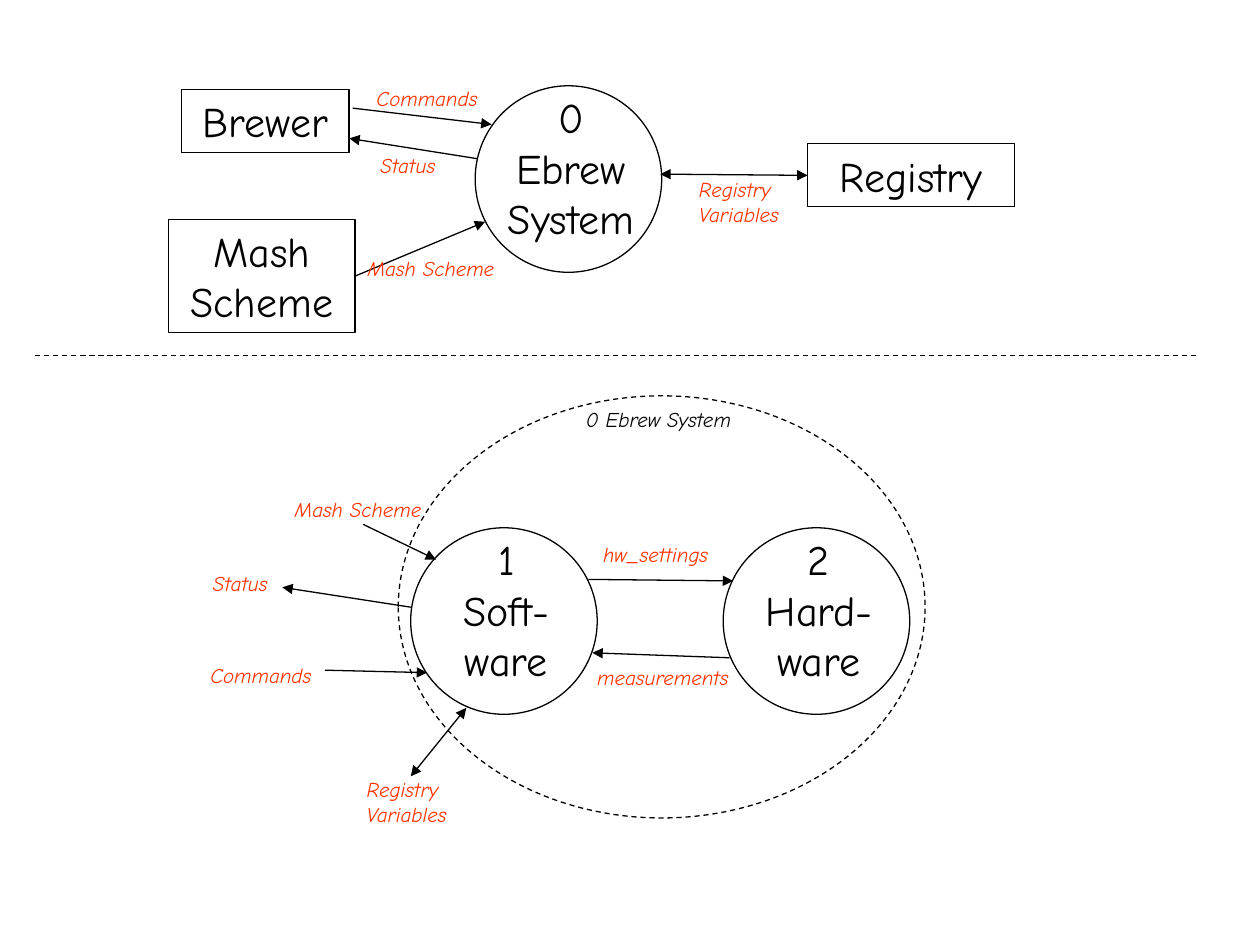
from lxml import etree
from pptx import Presentation
from pptx import util as u
from pptx.dml.color import RGBColor
from pptx.enum import dml, shapes, text
from pptx.oxml.ns import qn

BLACK = RGBColor(0x00, 0x00, 0x00)
FLOW = RGBColor(0xFF, 0x33, 0x00)
FONT = "Comic Neue"

prs = Presentation()
prs.slide_width, prs.slide_height = u.Cm(25.4), u.Cm(19.05)
s = prs.slides.add_slide(prs.slide_layouts[6])


def write(sp, lines, size, color=BLACK, italic=False, align=text.PP_ALIGN.CENTER, wrap=True):
    tf = sp.text_frame
    tf.word_wrap = wrap
    tf.vertical_anchor = text.MSO_ANCHOR.TOP
    tf.text = lines
    for p in tf.paragraphs:
        p.alignment = align
        p.font.name, p.font.size, p.font.italic = FONT, u.Pt(size), italic
        p.font.color.rgb = color


def outline(kind, x, y, w, h):
    sp = s.shapes.add_shape(kind, u.Cm(x), u.Cm(y), u.Cm(w), u.Cm(h))
    sp.shadow.inherit = False
    sp.fill.background()
    sp.line.color.rgb = BLACK
    sp.line.width = u.Pt(0.75)
    return sp


# Processes: circles with their number and name
D = 3.76
for name, x, y in [
    ("0\nEbrew System", 9.58, 1.73),
    ("1\nSoft-ware", 8.28, 10.64),
    ("2\nHard-ware", 14.58, 10.64),
]:
    outline(shapes.MSO_SHAPE.OVAL, x, y, D, D)
    tb = s.shapes.add_textbox(u.Cm(x + 0.05), u.Cm(y), u.Cm(D), u.Cm(3.3))
    write(tb, name, 24)

# External entities
entities = {}
for name, x, y, w, h in [
    ("Brewer", 3.66, 1.8, 3.38, 1.27),
    ("Mash Scheme", 3.4, 4.42, 3.76, 2.29),
    ("Registry", 16.28, 2.9, 4.17, 1.27),
]:
    sp = outline(shapes.MSO_SHAPE.RECTANGLE, x, y, w, h)
    write(sp, name, 24)
    entities[name] = sp

# Boundary of the system in the lower diagram
boundary = outline(shapes.MSO_SHAPE.OVAL, 8.03, 7.98, 10.62, 8.51)
boundary.line.dash_style = dml.MSO_LINE.DASH

# Data flows and the divider: start, end, arrowheads, joined entities
lines = []
for x1, y1, x2, y2, ends, source, target in [
    (7.11, 2.18, 9.91, 2.51, ["tailEnd"], None, None),
    (9.63, 3.2, 7.04, 2.79, ["tailEnd"], None, None),
    (7.11, 5.59, 9.78, 4.47, ["tailEnd"], "Mash Scheme", None),
    (13.31, 3.51, 16.26, 3.51, ["headEnd", "tailEnd"], None, "Registry"),
    (11.86, 11.68, 14.78, 11.71, ["tailEnd"], None, None),
    (14.71, 13.26, 11.94, 13.16, ["tailEnd"], None, None),
    (8.28, 15.65, 9.4, 14.27, ["headEnd", "tailEnd"], None, None),
    (7.32, 10.57, 8.79, 11.28, ["tailEnd"], None, None),
    (8.28, 12.24, 5.69, 11.84, ["tailEnd"], None, None),
    (6.55, 13.51, 8.61, 13.56, ["tailEnd"], None, None),
    (0.71, 7.16, 24.16, 7.16, [], None, None),
]:
    c = s.shapes.add_connector(shapes.MSO_CONNECTOR.STRAIGHT,
                               u.Cm(x1), u.Cm(y1), u.Cm(x2), u.Cm(y2))
    c.line.color.rgb = BLACK
    c.line.width = u.Pt(0.75)
    if not ends:
        c.line.dash_style = dml.MSO_LINE.DASH
    if source:
        c.begin_connect(entities[source], 3)
    if target:
        c.end_connect(entities[target], 1)
    ln = c.line._get_or_add_ln()
    for end in ends:
        etree.SubElement(ln, qn("a:" + end), type="triangle")
    etree.SubElement(c._element.spPr, qn("a:effectLst"))

# Labels
for name, x, y, w, color in [
    ("Commands", 7.34, 1.6, 2.54, FLOW),
    ("Status", 7.42, 2.95, 1.63, FLOW),
    ("Mash Scheme", 7.16, 5.03, 3.07, FLOW),
    ("Registry\nVariables", 13.84, 3.43, 2.13, FLOW),
    ("measurements", 11.79, 13.28, 3.18, FLOW),
    ("hw_settings", 11.91, 10.8, 2.62, FLOW),
    ("Registry\nVariables", 7.14, 15.52, 2.13, FLOW),
    ("Mash Scheme", 5.69, 9.88, 3.07, FLOW),
    ("Commands", 3.99, 13.23, 2.54, FLOW),
    ("Status", 4.04, 11.38, 1.63, FLOW),
    ("0 Ebrew System", 11.56, 8.08, 3.45, BLACK),
]:
    h = 1.27 if "\n" in name else 0.76
    tb = s.shapes.add_textbox(u.Cm(x), u.Cm(y), u.Cm(w), u.Cm(h))
    write(tb, name, 12, color, True, text.PP_ALIGN.LEFT, False)

prs.save("out.pptx")
